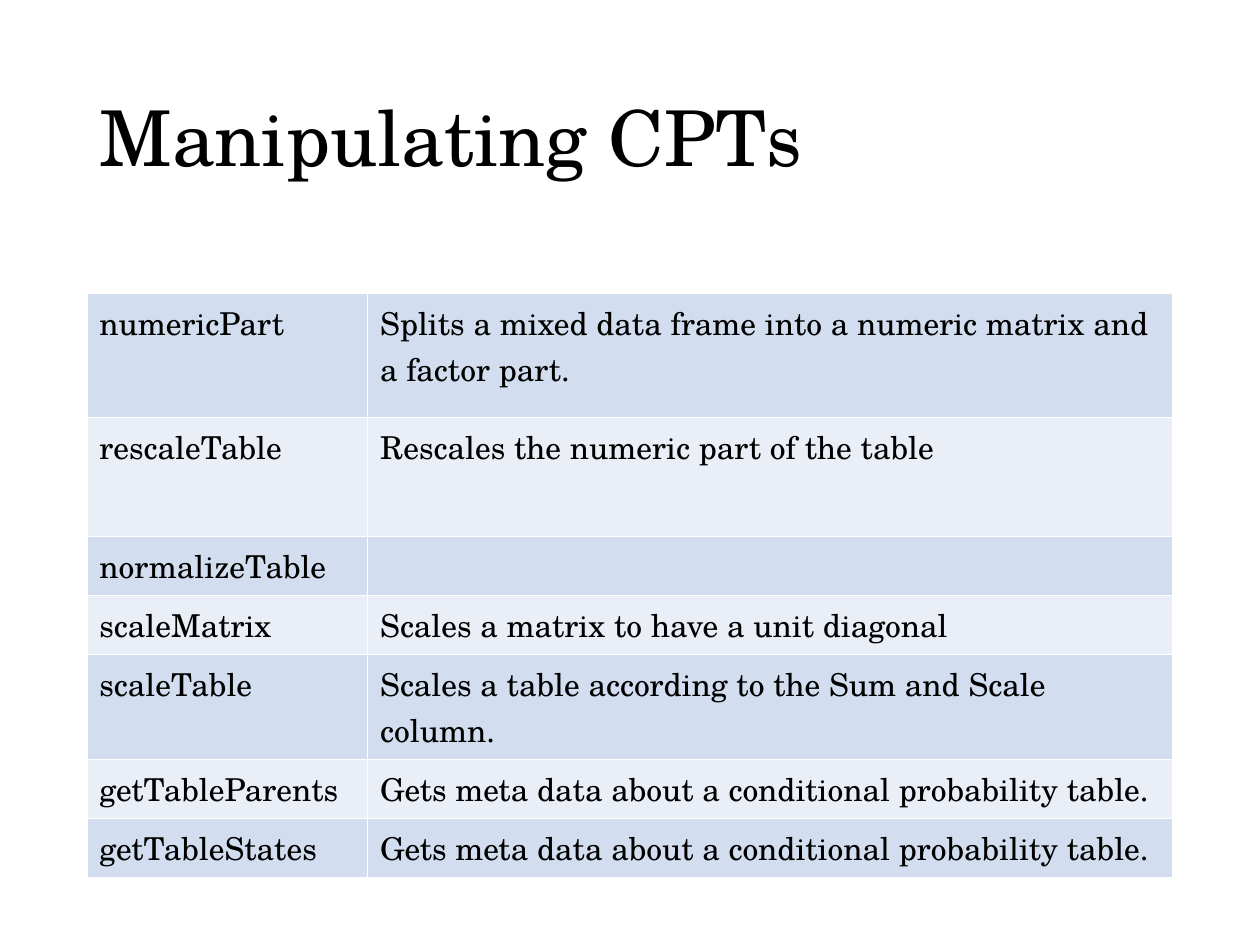
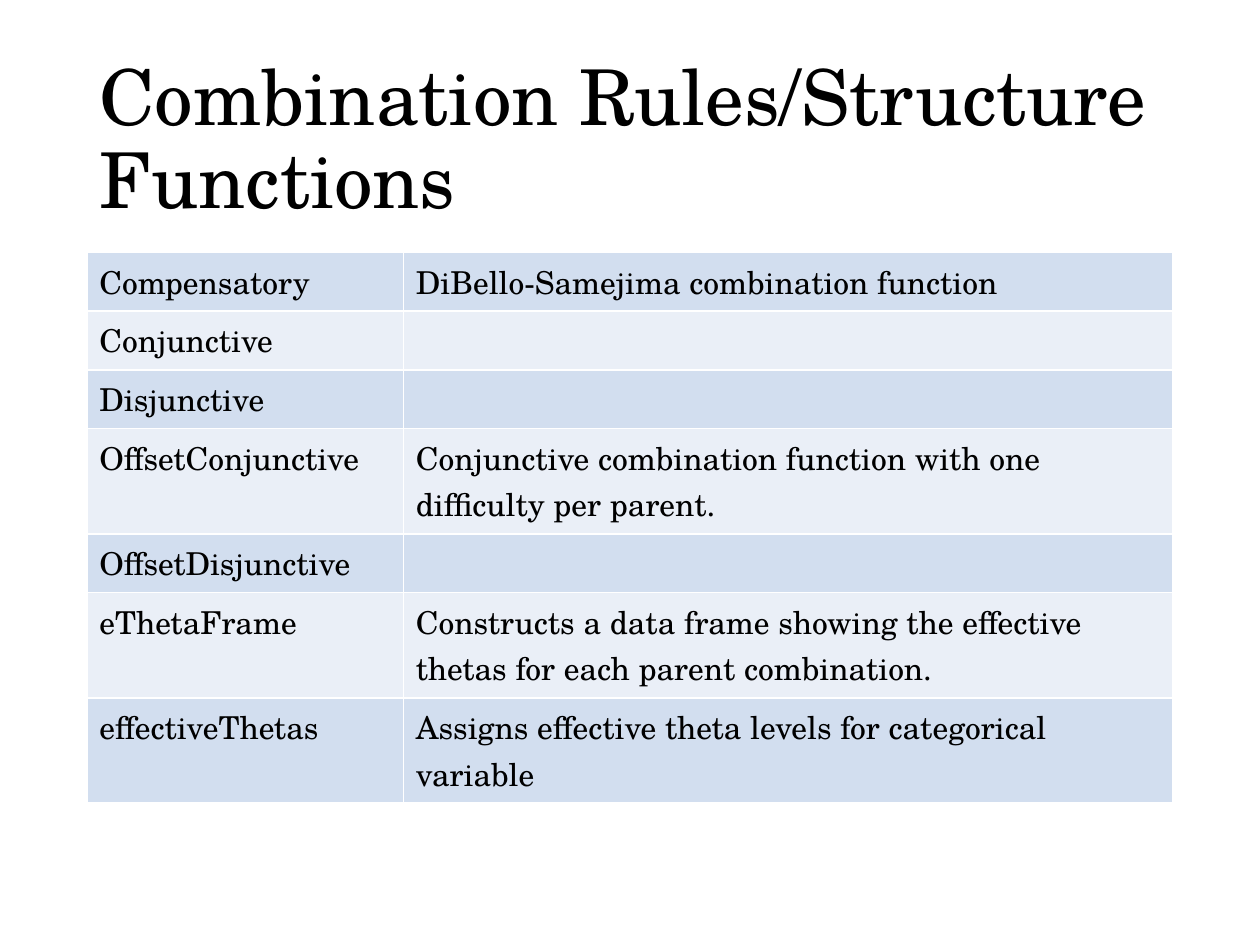
from pptx import Presentation
from pptx.dml.color import RGBColor
from pptx.enum.text import MSO_ANCHOR, MSO_AUTO_SIZE, PP_ALIGN
from pptx.util import Cm, Pt

# Shared look
COLOURS = {"text": "000000", "odd row": "D2DEEF", "even row": "EAEFF7"}
FONT = "TeX Gyre Schola"
TITLE_SIZE, CELL_SIZE = Pt(44), Pt(18)
LEFT, WIDTH = Cm(1.75), Cm(21.9)
TITLE_TOP, TITLE_HEIGHT = Cm(1.02), Cm(3.68)
TITLE_ONLY = 5

# Table contents: function name and what it does
CPT_ROWS = [
    ("numericPart", "Splits a mixed data frame into a numeric matrix and a factor part."),
    ("rescaleTable", "Rescales the numeric part of the table"),
    ("normalizeTable", ""),
    ("scaleMatrix", "Scales a matrix to have a unit diagonal"),
    ("scaleTable", "Scales a table according to the Sum and Scale column."),
    ("getTableParents", "Gets meta data about a conditional probability table."),
    ("getTableStates", "Gets meta data about a conditional probability table."),
]
RULE_ROWS = [
    ("Compensatory", "DiBello-Samejima combination function"),
    ("Conjunctive", ""),
    ("Disjunctive", ""),
    ("OffsetConjunctive", "Conjunctive combination function with one difficulty per parent."),
    ("OffsetDisjunctive", ""),
    ("eThetaFrame",
     "Constructs a data frame showing the effective thetas for each parent combination."),
    ("effectiveThetas", "Assigns effective theta levels for categorical variable"),
]


def write(para, text, size):
    """Add one formatted span of text to a paragraph."""
    span = para.add_run()
    span.text = text
    for name, value in {"name": FONT, "size": size}.items():
        setattr(span.font, name, value)
    span.font.color.rgb = RGBColor.from_string(COLOURS["text"])


def add_page(deck, title):
    """Add a slide with its title in the shared style."""
    page = deck.slides.add_slide(deck.slide_layouts[TITLE_ONLY])
    box = page.shapes.title
    place = {"left": LEFT, "top": TITLE_TOP, "width": WIDTH, "height": TITLE_HEIGHT}
    for name, value in place.items():
        setattr(box, name, value)
    frame = box.text_frame
    layout = {"word_wrap": True, "auto_size": MSO_AUTO_SIZE.NONE,
              "vertical_anchor": MSO_ANCHOR.MIDDLE}
    for name, value in layout.items():
        setattr(frame, name, value)
    para = frame.paragraphs[0]
    para.alignment = PP_ALIGN.LEFT
    para.line_spacing = 0.9
    write(para, title, TITLE_SIZE)
    return page


def add_function_table(page, rows, top, name_width, heights):
    """Add a two-column banded table; the second column fills the width."""
    table = page.shapes.add_table(len(rows), 2, LEFT, top, WIDTH, sum(heights)).table
    table.first_row = False
    table.columns[0].width = name_width
    table.columns[1].width = WIDTH - name_width
    for index, (texts, height) in enumerate(zip(rows, heights)):
        table.rows[index].height = height
        band = COLOURS["even row" if index % 2 else "odd row"]
        for column, text in enumerate(texts):
            cell = table.cell(index, column)
            cell.fill.solid()
            cell.fill.fore_color.rgb = RGBColor.from_string(band)
            if text:
                write(cell.text_frame.paragraphs[0], text, CELL_SIZE)


def main():
    deck = Presentation()
    deck.slide_width, deck.slide_height = Cm(25.4), Cm(19.05)

    # Manipulating tables: the first two rows are taller
    page = add_page(deck, "Manipulating CPTs")
    heights = [Cm(2.5), Cm(2.4)] + [Cm(0.97)] * (len(CPT_ROWS) - 2)
    add_function_table(page, CPT_ROWS, Cm(5.92), Cm(5.66), heights)

    # Combination rules: even rows that grow with their text
    page = add_page(deck, "Combination Rules/Structure Functions")
    heights = [Cm(1.04)] * len(RULE_ROWS)
    add_function_table(page, RULE_ROWS, Cm(5.08), Cm(6.38), heights)

    deck.save("out.pptx")


main()
